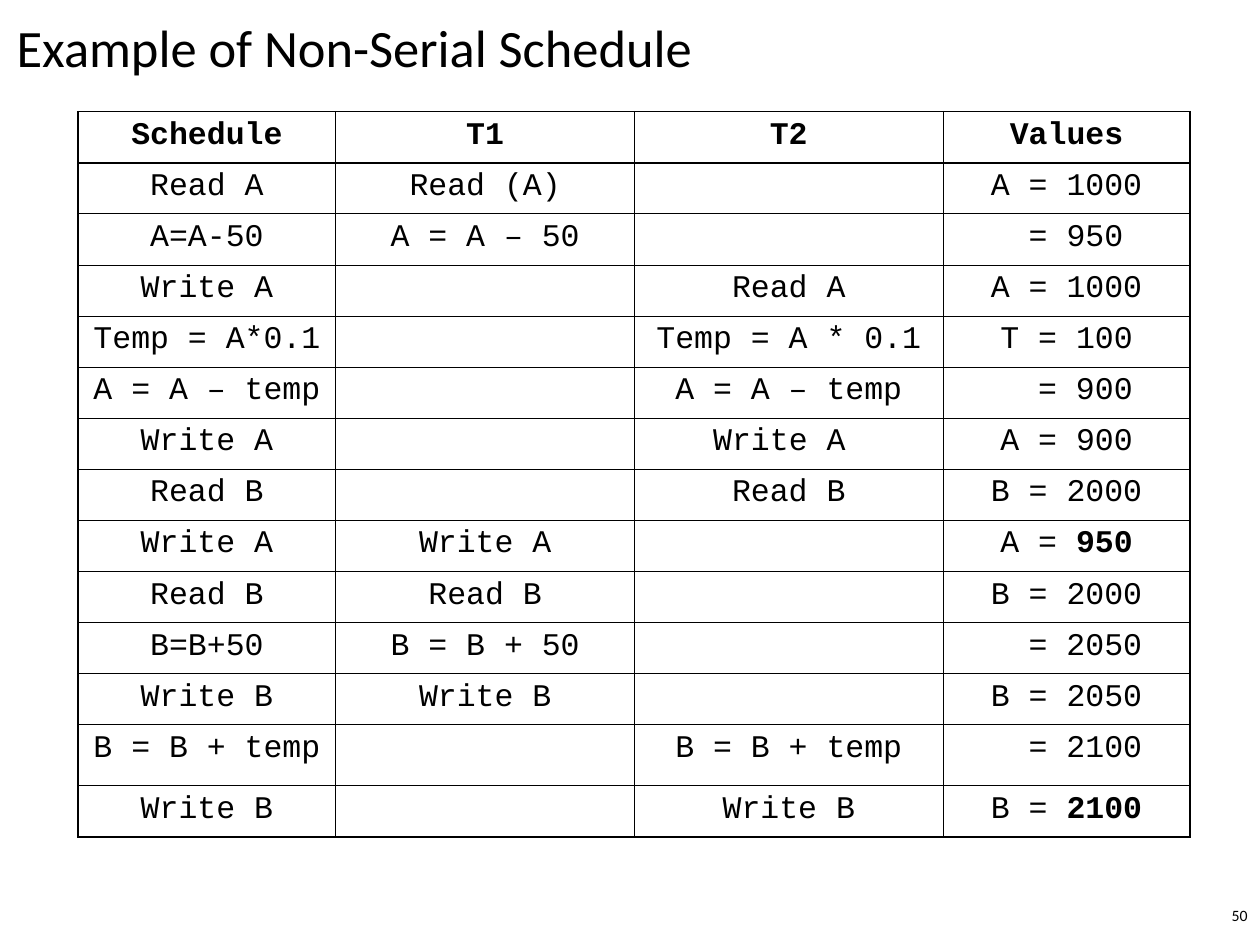
"""Build a slide with a table tracing a non-serial transaction schedule."""
from lxml.etree import SubElement
from pptx import Presentation
from pptx.dml.color import RGBColor
from pptx.enum.text import MSO_ANCHOR as Anchor, PP_ALIGN as Align
from pptx.oxml.ns import qn
from pptx.util import Cm, Pt

BLACK = RGBColor(0x00, 0x00, 0x00)
THIN, THICK = Pt(0.45), Pt(1.08)
COLUMN_WIDTHS = [5.2, 6.02, 6.22, 4.98]
ROW_HEIGHT, TALL_ROW_HEIGHT, TALL_ROW = 1.03, 1.23, 12
MARGIN, CHARACTER = 0.25, 0.38
ROWS = [
    ["Schedule", "T1", "T2", "Values"],
    ["Read A", "Read (A)", "", "A = 1000"],
    ["A=A-50", "A = A – 50", "", "= 950"],
    ["Write A", "", "Read A", "A = 1000"],
    ["Temp = A*0.1", "", "Temp = A * 0.1", "T = 100"],
    ["A = A – temp", "", "A = A – temp", "= 900"],
    ["Write A", "", "Write A", "A = 900"],
    ["Read B", "", "Read B", "B = 2000"],
    ["Write A", "Write A", "", "A = |950"],
    ["Read B", "Read B", "", "B = 2000"],
    ["B=B+50", "B = B + 50", "", "= 2050"],
    ["Write B", "Write B", "", "B = 2050"],
    ["B = B + temp", "", "B = B + temp", "= 2100"],
    ["Write B", "", "Write B", "B = |2100"],
]
LEFT_INDENTS = {(2, 3): 1, (5, 3): 2, (10, 3): 2, (12, 3): 2}
RIGHT_INDENTS = {(6, 2): 1}


def style(para, name, size, align, bold=False):
    para.alignment = align
    para.font.name = name
    para.font.size = Pt(size)
    para.font.bold = bold
    para.font.color.rgb = BLACK


def add_border(cell, side, width):
    line = SubElement(cell._tc.get_or_add_tcPr(), qn(f"a:ln{side}"), w=str(width))
    fill = SubElement(line, qn("a:solidFill"))
    SubElement(fill, qn("a:srgbClr"), val=str(BLACK))


deck = Presentation()
deck.slide_width, deck.slide_height = Cm(25.4), Cm(19.05)
slide = deck.slides.add_slide(deck.slide_layouts[5])

title = slide.shapes.title
title.left, title.top, title.width, title.height = Cm(0.08), Cm(0.43), Cm(18.57), Cm(1.19)
title.text_frame.text = "Example of Non-Serial Schedule"
title.text_frame.vertical_anchor = Anchor.MIDDLE
title_para = title.text_frame.paragraphs[0]
title_para.line_spacing = 0.9
style(title_para, "Calibri", 30, Align.LEFT)

last_row, last_column = len(ROWS) - 1, len(COLUMN_WIDTHS) - 1
table_height = ROW_HEIGHT * last_row + TALL_ROW_HEIGHT
table = slide.shapes.add_table(
    len(ROWS), len(COLUMN_WIDTHS), Cm(1.57), Cm(2.25),
    Cm(sum(COLUMN_WIDTHS)), Cm(table_height)).table
table.first_row = table.horz_banding = False
for column, width in zip(table.columns, COLUMN_WIDTHS):
    column.width = Cm(width)

for r, texts in enumerate(ROWS):
    table.rows[r].height = Cm(TALL_ROW_HEIGHT if r == TALL_ROW else ROW_HEIGHT)
    for c, text in enumerate(texts):
        cell = table.cell(r, c)
        cell.margin_left = Cm(MARGIN + CHARACTER * LEFT_INDENTS.get((r, c), 0))
        cell.margin_right = Cm(MARGIN + CHARACTER * RIGHT_INDENTS.get((r, c), 0))
        add_border(cell, "L", THICK if c == 0 else THIN)
        add_border(cell, "R", THICK if c == last_column else THIN)
        add_border(cell, "T", THICK if r <= 1 else THIN)
        add_border(cell, "B", THICK if r in (0, last_row) else THIN)
        cell.fill.background()
        para = cell.text_frame.paragraphs[0]
        style(para, "Courier New", 18, Align.CENTER, bold=r == 0)
        plain, _, strong = text.partition("|")
        if plain:
            para.add_run().text = plain
        if strong:
            span = para.add_run()
            span.text = strong
            span.font.bold = True

number_box = slide.shapes.add_textbox(Cm(24.56), Cm(18.14), Cm(0.84), Cm(0.64))
number_box.text_frame.text = "50"
number_box.text_frame.vertical_anchor = Anchor.MIDDLE
style(number_box.text_frame.paragraphs[0], "Calibri", 9, Align.RIGHT)

deck.save("out.pptx")
